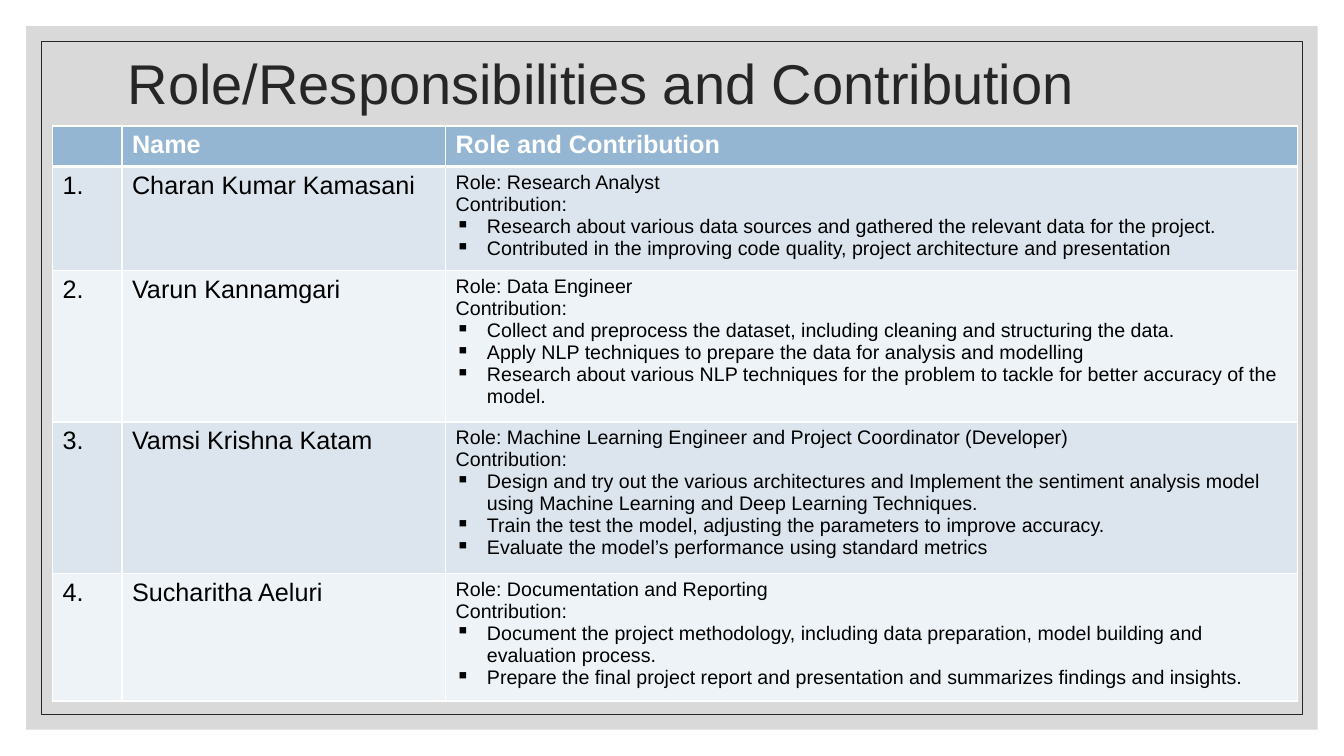
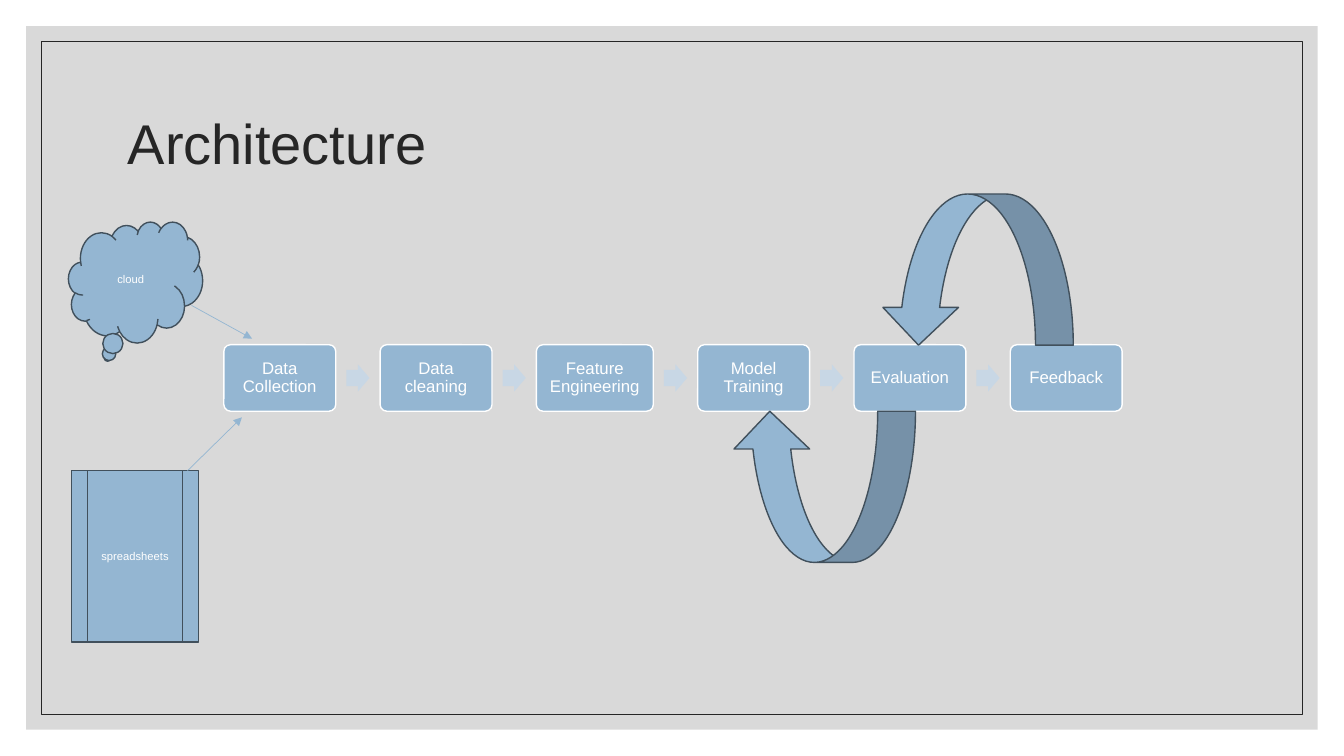
from lxml import etree
from pptx import Presentation
from pptx import util as u
from pptx.dml.color import RGBColor
from pptx.enum import shapes, text
from pptx.oxml import ns

# Shared look
WIDTH, HEIGHT = 13.33, 7.5
FONT = "Arial"
PANEL, INK, BLUE, OUTLINE = "D9D9D9", "262626", "94B6D2", "41505C"
PALE_ARROW, WHITE, BLACK = "C8D7E5", "FFFFFF", "000000"
BANDS = ("DCE5EE", "EEF3F7")
KIND = shapes.MSO_SHAPE
CENTER = text.PP_ALIGN.CENTER
MIDDLE = text.MSO_ANCHOR.MIDDLE

# Content: slide 1
HEADINGS = ("", "Name", "Role and Contribution")
TEAM = [
    ("Charan Kumar Kamasani", "Research Analyst", [
        "Research about various data sources and gathered the relevant data for the project.",
        "Contributed in the improving code quality, project architecture and presentation"]),
    ("Varun Kannamgari", "Data Engineer", [
        "Collect and preprocess the dataset, including cleaning and structuring the data.",
        "Apply NLP techniques to prepare the data for analysis and modelling",
        "Research about various NLP techniques for the problem to tackle for better accuracy of the model."]),
    ("Vamsi Krishna Katam", "Machine Learning Engineer and Project Coordinator (Developer)", [
        "Design and try out the various architectures and Implement the sentiment analysis model "
        "using Machine Learning and Deep Learning Techniques.",
        "Train the test the model, adjusting the parameters to improve accuracy.",
        "Evaluate the model’s performance using standard metrics"]),
    ("Sucharitha Aeluri", "Documentation and Reporting", [
        "Document the project methodology, including data preparation, model building and evaluation process.",
        "Prepare the final project report and presentation and summarizes findings and insights."]),
]
COLUMN_WIDTHS = (0.69, 3.21, 8.45)
ROW_HEIGHTS = (0.38, 1.03, 1.41, 1.47, 1.19)

# Content: slide 2
STEPS = [("Data Collection", 1.11), ("Data cleaning", 1.11), ("Feature Engineering", 1.16),
         ("Model Training", 1.11), ("Evaluation", 1.11), ("Feedback", 1.11)]
STEP_LEFT, STEP_TOP, STEP_HEIGHT, STEP_GAP = 2.22, 3.42, 0.66, 0.44
SOURCES = [  # label, outline, box, arrow start, arrow end
    ("cloud", KIND.CLOUD_CALLOUT, (0.68, 2.2, 1.33, 1.2), (1.9, 3.03), (2.5, 3.36)),
    ("spreadsheets", KIND.FLOWCHART_PREDEFINED_PROCESS, (0.71, 4.67, 1.26, 1.7), (1.86, 4.67), (2.4, 4.14)),
]
LOOPS = [((7.42, 3.92, 1.5, 1.82), 90, False), ((8.94, 1.72, 1.5, 1.91), 270, True)]


def color(value):
    return RGBColor.from_string(value)


def inches(values):
    return [u.Inches(value) for value in values]


def write(paragraph, words, size, ink, bold=False):
    run = paragraph.add_run()
    run.text = words
    run.font.name, run.font.size, run.font.bold = FONT, u.Pt(size), bold
    run.font.color.rgb = color(ink)


def draw(slide, kind, box, fill=None, line=None, weight=1, label="", size=12, spacing=1.0):
    shape = slide.shapes.add_shape(kind, *inches(box))
    shape.shadow.inherit = False
    if fill:
        shape.fill.solid()
        shape.fill.fore_color.rgb = color(fill)
    else:
        shape.fill.background()
    if line:
        shape.line.color.rgb = color(line)
        shape.line.width = u.Pt(weight)
    else:
        shape.line.fill.background()
    if label:
        frame = shape.text_frame
        frame.word_wrap, frame.vertical_anchor = True, MIDDLE
        paragraph = frame.paragraphs[0]
        paragraph.alignment, paragraph.line_spacing = CENTER, spacing
        write(paragraph, label, size, WHITE)
    return shape


def new_slide(deck, title, top, height):
    slide = deck.slides.add_slide(deck.slide_layouts[6])
    for inset, fill, line in ((0.26, PANEL, None), (0.41, None, INK)):
        box = (inset, inset, WIDTH - 2 * inset, HEIGHT - 2 * inset)
        draw(slide, KIND.RECTANGLE, box, fill, line, 0.5)
    frame = slide.shapes.add_textbox(*inches((1.17, top, 11, height))).text_frame
    frame.word_wrap, frame.vertical_anchor = True, MIDDLE
    frame.paragraphs[0].line_spacing = 0.9
    write(frame.paragraphs[0], title, 40, INK)
    return slide


def style_cell(cell, fill, bottom):
    properties = cell._tc.get_or_add_tcPr()
    for side, weight in (("lnL", 1), ("lnR", 1), ("lnT", 1), ("lnB", bottom)):
        edge = etree.SubElement(properties, ns.qn("a:" + side), w=str(u.Pt(weight)))
        solid = etree.SubElement(edge, ns.qn("a:solidFill"))
        etree.SubElement(solid, ns.qn("a:srgbClr"), val=WHITE)
    cell.fill.solid()
    cell.fill.fore_color.rgb = color(fill)


def add_bullet(paragraph):
    properties = paragraph._p.get_or_add_pPr()
    indent = u.Inches(0.31)
    properties.set("marL", str(indent))
    properties.set("indent", str(-indent))
    etree.SubElement(properties, ns.qn("a:buChar"), char="▪")


def add_team(slide):
    box = (0.52, 1.25, sum(COLUMN_WIDTHS), sum(ROW_HEIGHTS))
    table = slide.shapes.add_table(len(ROW_HEIGHTS), len(COLUMN_WIDTHS), *inches(box)).table
    for column, width in zip(table.columns, COLUMN_WIDTHS):
        column.width = u.Inches(width)
    for row, height in zip(table.rows, ROW_HEIGHTS):
        row.height = u.Inches(height)

    for column, heading in enumerate(HEADINGS):
        cell = table.cell(0, column)
        style_cell(cell, BLUE, 3)
        if heading:
            write(cell.text_frame.paragraphs[0], heading, 18, WHITE, True)

    for number, (name, role, duties) in enumerate(TEAM, 1):
        cells = table.rows[number].cells
        for cell in cells:
            style_cell(cell, BANDS[(number - 1) % 2], 1)
        for cell, words in zip(cells, (f"{number}.", name)):
            write(cell.text_frame.paragraphs[0], words, 18, BLACK)
        frame = cells[2].text_frame
        write(frame.paragraphs[0], f"Role: {role}", 14, BLACK)
        write(frame.add_paragraph(), "Contribution:", 14, BLACK)
        for duty in duties:
            paragraph = frame.add_paragraph()
            add_bullet(paragraph)
            write(paragraph, duty, 14, BLACK)


def add_steps(slide):
    left = STEP_LEFT
    arrow_width, arrow_height = 0.23, 0.27
    for index, (label, width) in enumerate(STEPS):
        if index:
            box = (left - (STEP_GAP + arrow_width) / 2, STEP_TOP + (STEP_HEIGHT - arrow_height) / 2,
                   arrow_width, arrow_height)
            draw(slide, KIND.RIGHT_ARROW, box, PALE_ARROW).adjustments[0] = 0.6
        step = draw(slide, KIND.ROUNDED_RECTANGLE, (left, STEP_TOP, width, STEP_HEIGHT),
                    BLUE, WHITE, label=label, spacing=0.9)
        step.adjustments[0] = 0.1
        frame = step.text_frame
        frame.margin_left = frame.margin_right = u.Inches(0.05)
        left += width + STEP_GAP


def add_loops(slide):
    for box, rotation, flipped in LOOPS:
        loop = draw(slide, KIND.CURVED_LEFT_ARROW, box, BLUE, OUTLINE)
        loop.rotation = rotation
        if flipped:
            loop._element.spPr.xfrm.set("flipV", "1")


def add_sources(slide):
    for label, kind, box, _, _ in SOURCES:
        draw(slide, kind, box, BLUE, OUTLINE, label=label, size=8)
    for *_, start, end in SOURCES:
        feed = slide.shapes.add_connector(shapes.MSO_CONNECTOR.STRAIGHT, *inches(start + end))
        feed.line.color.rgb = color(BLUE)
        feed.line.width = u.Pt(0.5)
        etree.SubElement(feed.line._get_or_add_ln(), ns.qn("a:tailEnd"), type="triangle")
        etree.SubElement(feed._element.spPr, ns.qn("a:effectLst"))


def main():
    deck = Presentation()
    deck.slide_width, deck.slide_height = inches((WIDTH, HEIGHT))
    add_team(new_slide(deck, "Role/Responsibilities and Contribution", 0.46, 0.79))
    architecture = new_slide(deck, "Architecture", 0.7, 1.5)
    add_steps(architecture)
    add_loops(architecture)
    add_sources(architecture)
    deck.save("out.pptx")


if __name__ == "__main__":
    main()
